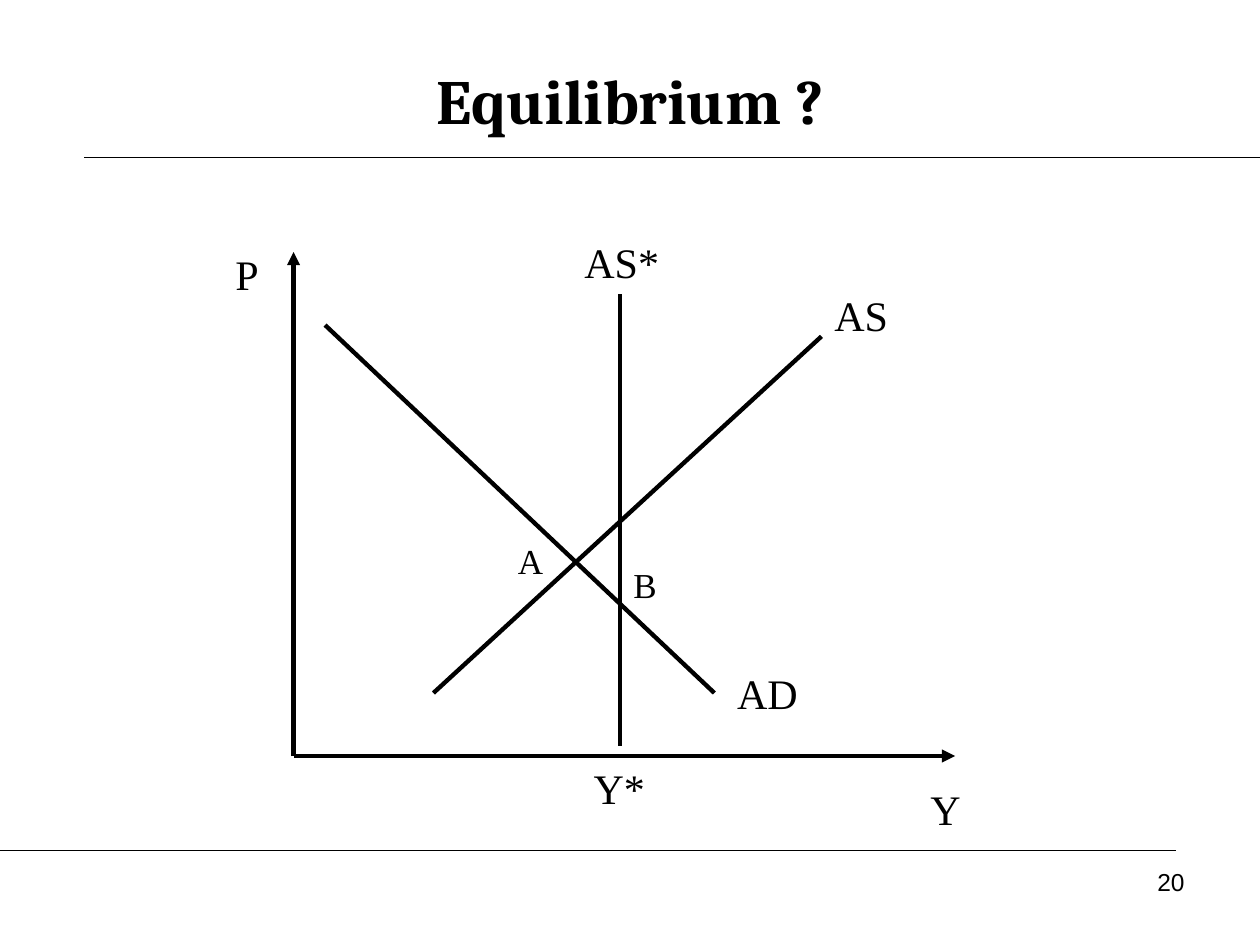
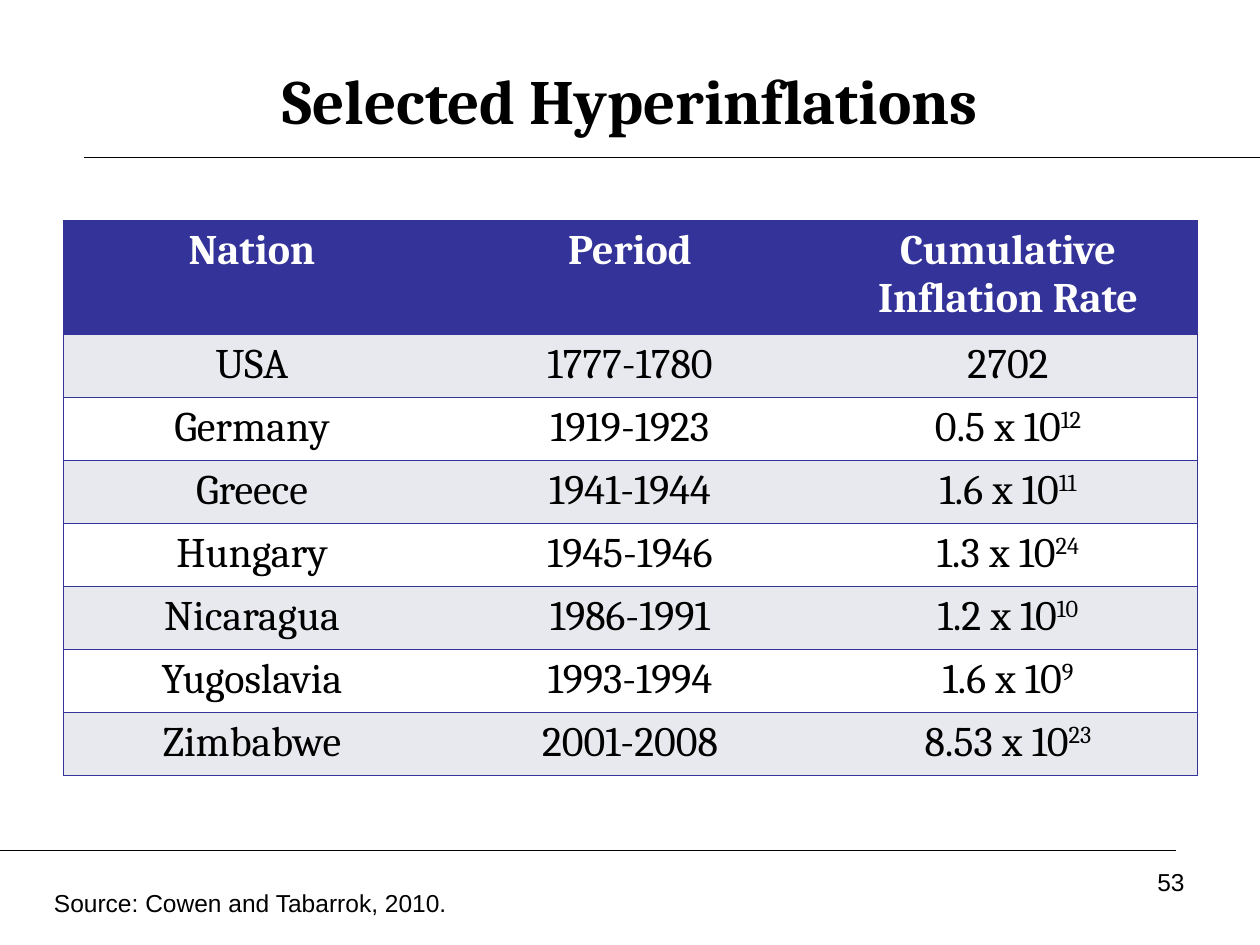
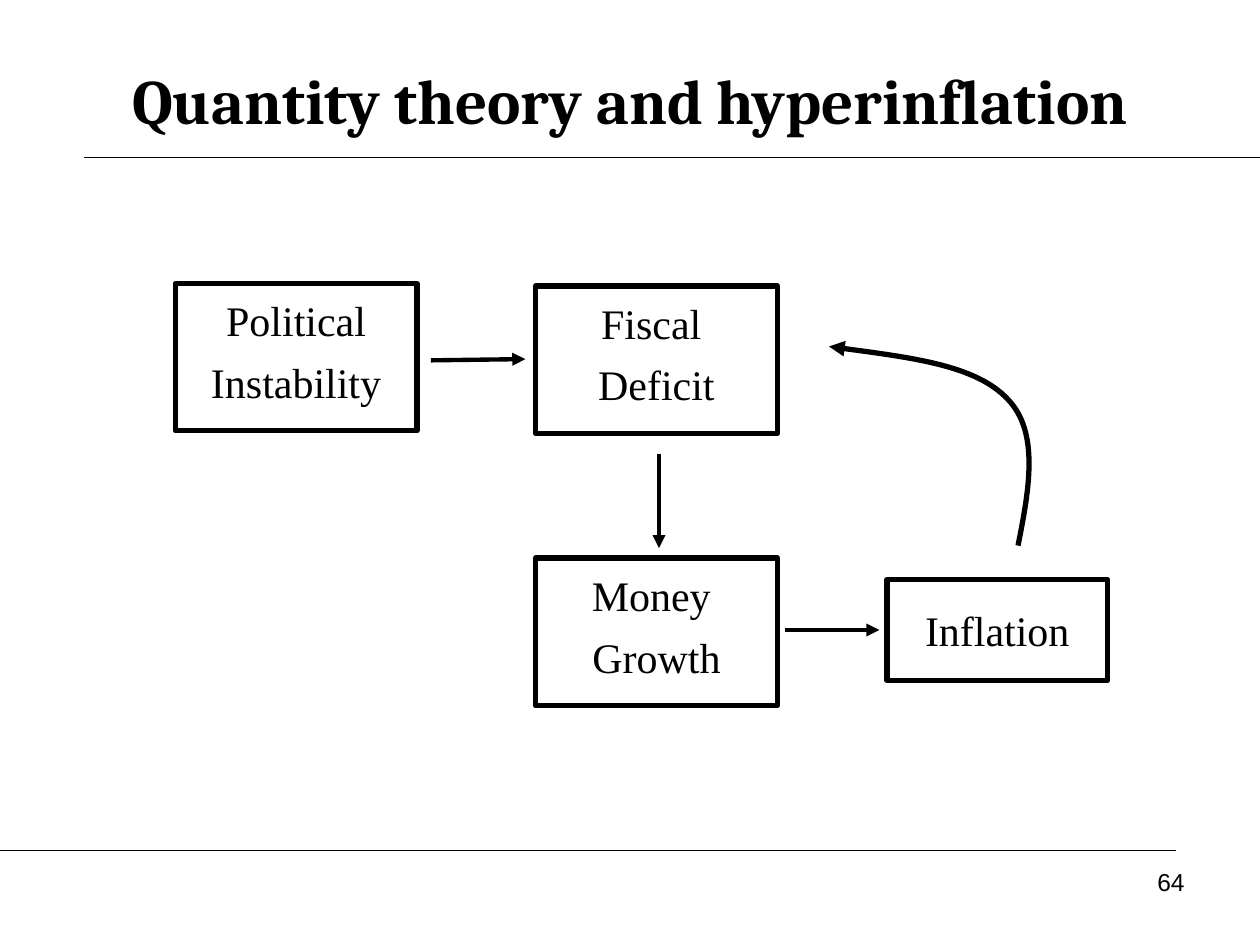
"""Builds three macroeconomics slides: a diagram, a table and a flow chart."""
from dataclasses import dataclass

from lxml import etree
from pptx import Presentation
from pptx import util as u
from pptx.dml.color import RGBColor
from pptx.enum import shapes, text
from pptx.oxml.ns import qn

PX = u.Inches(1) // 100


@dataclass(frozen=True)
class Theme:
    """Colours, fonts and sizes shared by the slides."""
    ink: str = "000000"
    paper: str = "FFFFFF"
    accent: str = "333399"
    band: str = "E8E8EF"
    heading_font: str = "Cambria"
    diagram_font: str = "Times New Roman"
    footer_font: str = "Arial"
    title_size: int = 36
    body_size: int = 24
    point_size: int = 20
    footer_size: int = 14
    rule_width: float = 0.75
    line_width: float = 2.5
    frame_width: float = 3
    border_width: float = 0.45


@dataclass(frozen=True)
class Box:
    """A region in px, with parts placed relative to its corner."""
    left: int
    top: int
    width: int
    height: int

    def inner(self, left, top, width, height):
        """Return a box offset from this one."""
        return Box(self.left + left, self.top + top, width, height)

    def point(self, x, y):
        """Return an offset point in EMU."""
        return (self.left + x) * PX, (self.top + y) * PX

    def emu(self):
        """Return left, top, width and height in EMU."""
        return [length * PX for length in (self.left, self.top, self.width, self.height)]


THEME = Theme()
PAGE = Box(0, 0, 1000, 750)
TITLE = Box(50, 33, 900, 92)
NUMBER = Box(717, 683, 233, 52)
SOURCE = Box(33, 700, 340, 34)
PLOT = Box(233, 200, 525, 400)
TABLE = Box(50, 175, 900, 440)
FLOW = Box(139, 225, 740, 335)

RULES = [((67, 125), (1000, 125)), ((0, 675), (933, 675))]

AXES = [((0, 400), (525, 400)), ((0, 400), (0, 0))]
CURVES = [((111, 350), (419, 67)), ((334, 350), (25, 58)), ((259, 392), (259, 33))]
PLOT_LABELS = [
    ("Y", 484, 417, 67), ("P", -66, -8, 58), ("AS", 417, 25, 67),
    ("AD", 330, 325, 92), ("AS*", 219, -17, 83), ("Y*", 225, 400, 67),
]
POINT_LABELS = [("A", 159, 223), ("B", 250, 242)]

HEADINGS = ["Nation", "Period", "Cumulative Inflation Rate"]
HYPERINFLATIONS = [
    ("USA", "1777-1780", "2702", ""),
    ("Germany", "1919-1923", "0.5 x 10", "12"),
    ("Greece", "1941-1944", "1.6 x 10", "11"),
    ("Hungary", "1945-1946", "1.3 x 10", "24"),
    ("Nicaragua", "1986-1991", "1.2 x 10", "10"),
    ("Yugoslavia", "1993-1994", "1.6 x 10", "9"),
    ("Zimbabwe", "2001-2008", "8.53 x 10", "23"),
]

STEPS = [
    (["Money ", "Growth"], (286, 218, 192, 117)),
    (["Inflation"], (565, 235, 175, 80)),
    (["Fiscal ", "Deficit"], (286, 2, 192, 117)),
    (["Political", "Instability"], (0, 0, 192, 117)),
]
STEP_ARROWS = [((484, 275), (559, 275)), ((384, 135), (384, 210)), ((203, 61), (278, 60))]
FEEDBACK = [(669, 208), (678, 163), (686, 118), (661, 92), (636, 65), (578, 58), (519, 50)]


def add_run(paragraph, words, font, size, color=THEME.ink, bold=False, raised=False):
    """Add one formatted run to a paragraph."""
    run = paragraph.add_run()
    run.text = words
    run.font.name = font
    run.font.size = u.Pt(size)
    run.font.bold = bold
    run.font.color.rgb = RGBColor.from_string(color)
    if raised:
        run.font._element.set("baseline", "30000")


def add_text(slide, box, words, font, size, align=text.PP_ALIGN.CENTER):
    """Add a one-paragraph text box."""
    frame = slide.shapes.add_textbox(*box.emu()).text_frame
    frame.word_wrap = True
    paragraph = frame.paragraphs[0]
    paragraph.alignment = align
    add_run(paragraph, words, font, size)


def style_line(shape, width, arrow=False):
    """Set the line of a shape, with an arrowhead if asked."""
    shape.line.color.rgb = RGBColor.from_string(THEME.ink)
    shape.line.width = u.Pt(width)
    if arrow:
        line = shape.element.spPr.find(qn("a:ln"))
        etree.SubElement(line, qn("a:tailEnd"), type="triangle")


def add_line(slide, box, start, end, width=THEME.line_width, arrow=False):
    """Add a straight line between two points of a box."""
    connector = slide.shapes.add_connector(
        shapes.MSO_CONNECTOR.STRAIGHT, *box.point(*start), *box.point(*end))
    style_line(connector, width, arrow)
    etree.SubElement(connector.element.spPr, qn("a:effectLst"))
    return connector


def add_rules(slide, layout):
    """Draw the two page rules and hand them to the shared layout."""
    for start, end in RULES:
        rule = add_line(slide, PAGE, start, end, THEME.rule_width)
        layout.shapes.element.append(rule.element)


def add_slide(presentation, layout, title, number):
    """Add a slide with its title and page number."""
    slide = presentation.slides.add_slide(layout)
    shape = slide.shapes.title
    shape.left, shape.top, shape.width, shape.height = TITLE.emu()
    frame = shape.text_frame
    frame.auto_size = text.MSO_AUTO_SIZE.NONE
    frame.vertical_anchor = text.MSO_ANCHOR.MIDDLE
    paragraph = frame.paragraphs[0]
    paragraph.alignment = text.PP_ALIGN.CENTER
    add_run(paragraph, title, THEME.heading_font, THEME.title_size, bold=True)
    add_text(slide, NUMBER, number, THEME.footer_font, THEME.footer_size,
             text.PP_ALIGN.RIGHT)
    return slide


def add_plot(slide, box):
    """Draw the supply and demand diagram."""
    for start, end in AXES:
        add_line(slide, box, start, end, arrow=True)
    for start, end in CURVES:
        add_line(slide, box, start, end)
    for words, left, top, width in PLOT_LABELS:
        add_text(slide, box.inner(left, top, width, 50), words,
                 THEME.diagram_font, THEME.body_size)
    for words, left, top in POINT_LABELS:
        add_text(slide, box.inner(left, top, 58, 44), words,
                 THEME.diagram_font, THEME.point_size)


def set_borders(cell, sides):
    """Rule the named sides of a cell and clear the others."""
    properties = cell._tc.get_or_add_tcPr()
    for side in "LRTB":
        line = etree.SubElement(properties, qn(f"a:ln{side}"),
                                w=str(u.Pt(THEME.border_width)))
        if side in sides:
            fill = etree.SubElement(line, qn("a:solidFill"))
            etree.SubElement(fill, qn("a:srgbClr"), val=THEME.accent)
        else:
            etree.SubElement(line, qn("a:noFill"))


def fill_cell(cell, words, exponent, color, fill, bold):
    """Fill a cell with colour and centred text."""
    cell.fill.solid()
    cell.fill.fore_color.rgb = RGBColor.from_string(fill)
    paragraph = cell.text_frame.paragraphs[0]
    paragraph.alignment = text.PP_ALIGN.CENTER
    add_run(paragraph, words, THEME.heading_font, THEME.body_size, color, bold)
    if exponent:
        add_run(paragraph, exponent, THEME.heading_font, THEME.body_size, color, raised=True)


def add_inflation_table(slide, box):
    """Add the banded table of hyperinflations."""
    rows = [(*HEADINGS, ""), *HYPERINFLATIONS]
    last = len(HEADINGS) - 1
    table = slide.shapes.add_table(len(rows), len(HEADINGS), *box.emu()).table
    table.horz_banding = False
    for index, (*values, exponent) in enumerate(rows):
        header = index == 0
        table.rows[index].height = (90 if header else 50) * PX
        color = THEME.paper if header else THEME.ink
        fill = THEME.accent if header else THEME.band if index % 2 else THEME.paper
        for column, words in enumerate(values):
            cell = table.cell(index, column)
            set_borders(cell, "TB" + "L" * (column == 0) + "R" * (column == last))
            fill_cell(cell, words, exponent if column == last else "", color, fill, header)


def add_step(slide, box, lines):
    """Add a framed step with one paragraph for each line."""
    shape = slide.shapes.add_shape(shapes.MSO_SHAPE.RECTANGLE, *box.emu())
    shape.shadow.inherit = False
    shape.fill.background()
    style_line(shape, THEME.frame_width)
    frame = shape.text_frame
    frame.word_wrap = True
    frame.vertical_anchor = text.MSO_ANCHOR.TOP
    frame.margin_left = frame.margin_right = 20 * PX
    frame.margin_top = frame.margin_bottom = 20 * PX
    for index, words in enumerate(lines):
        paragraph = frame.add_paragraph() if index else frame.paragraphs[0]
        paragraph.alignment = text.PP_ALIGN.CENTER
        if len(lines) > 1:
            paragraph.line_spacing = 0.7
        if index:
            paragraph.space_before = u.Pt(15)
        add_run(paragraph, words, THEME.diagram_font, THEME.body_size)


def add_curved_arrow(slide, box, points):
    """Add an arrow along cubic curves given by their control points."""
    builder = slide.shapes.build_freeform(*points[0], scale=PX)
    builder.add_line_segments(points[1:], close=False)
    shape = builder.convert_to_shape(*box.point(0, 0))
    shape.shadow.inherit = False
    shape.fill.background()
    style_line(shape, THEME.frame_width, arrow=True)
    segments = list(shape.element.iter(qn("a:lnTo")))
    for first in range(0, len(segments), 3):
        curve = etree.Element(qn("a:cubicBezTo"))
        segments[first].addprevious(curve)
        for segment in segments[first:first + 3]:
            curve.append(segment[0])
            segment.getparent().remove(segment)


def add_flow(slide, box):
    """Draw the steps from instability to inflation and back."""
    for lines, place in STEPS:
        add_step(slide, box.inner(*place), lines)
    for start, end in STEP_ARROWS:
        add_line(slide, box, start, end, arrow=True)
    add_curved_arrow(slide, box, FEEDBACK)


def main():
    """Build and save the presentation."""
    presentation = Presentation()
    presentation.slide_width = PAGE.width * PX
    presentation.slide_height = PAGE.height * PX
    layout = presentation.slide_layouts[5]

    equilibrium = add_slide(presentation, layout, "Equilibrium ?", "20")
    add_rules(equilibrium, layout)
    add_plot(equilibrium, PLOT)

    history = add_slide(presentation, layout, "Selected Hyperinflations", "53")
    add_inflation_table(history, TABLE)
    add_text(history, SOURCE, "Source: Cowen and Tabarrok, 2010.",
             THEME.footer_font, THEME.footer_size, text.PP_ALIGN.LEFT)

    theory = add_slide(presentation, layout, "Quantity theory and hyperinflation", "64")
    add_flow(theory, FLOW)

    presentation.save("out.pptx")


if __name__ == "__main__":
    main()
